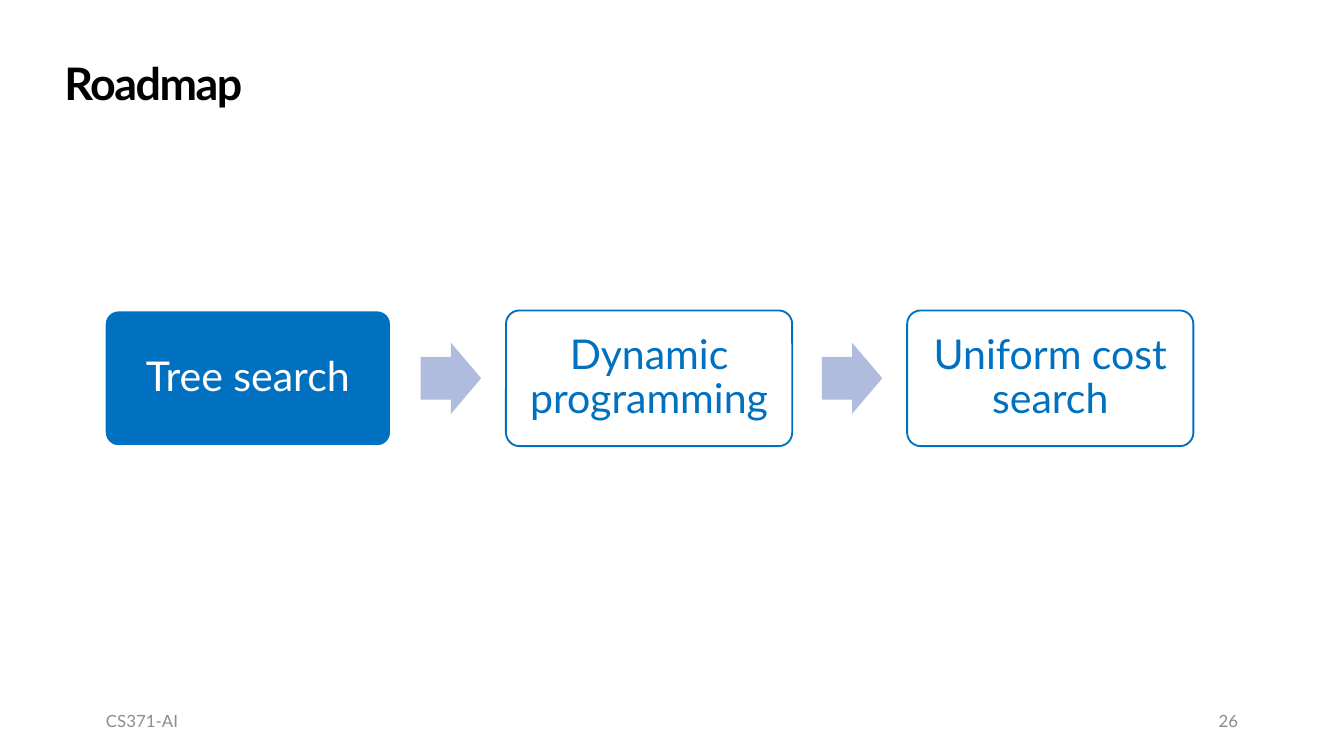
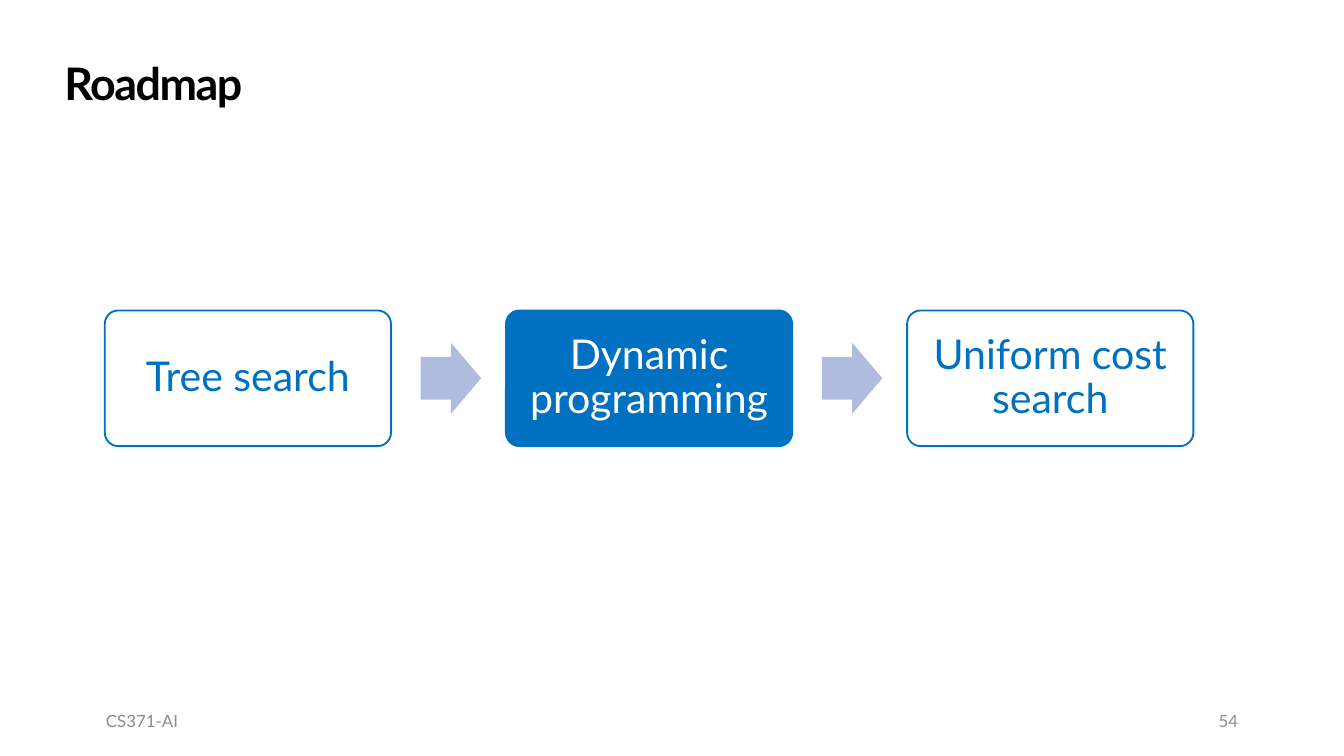
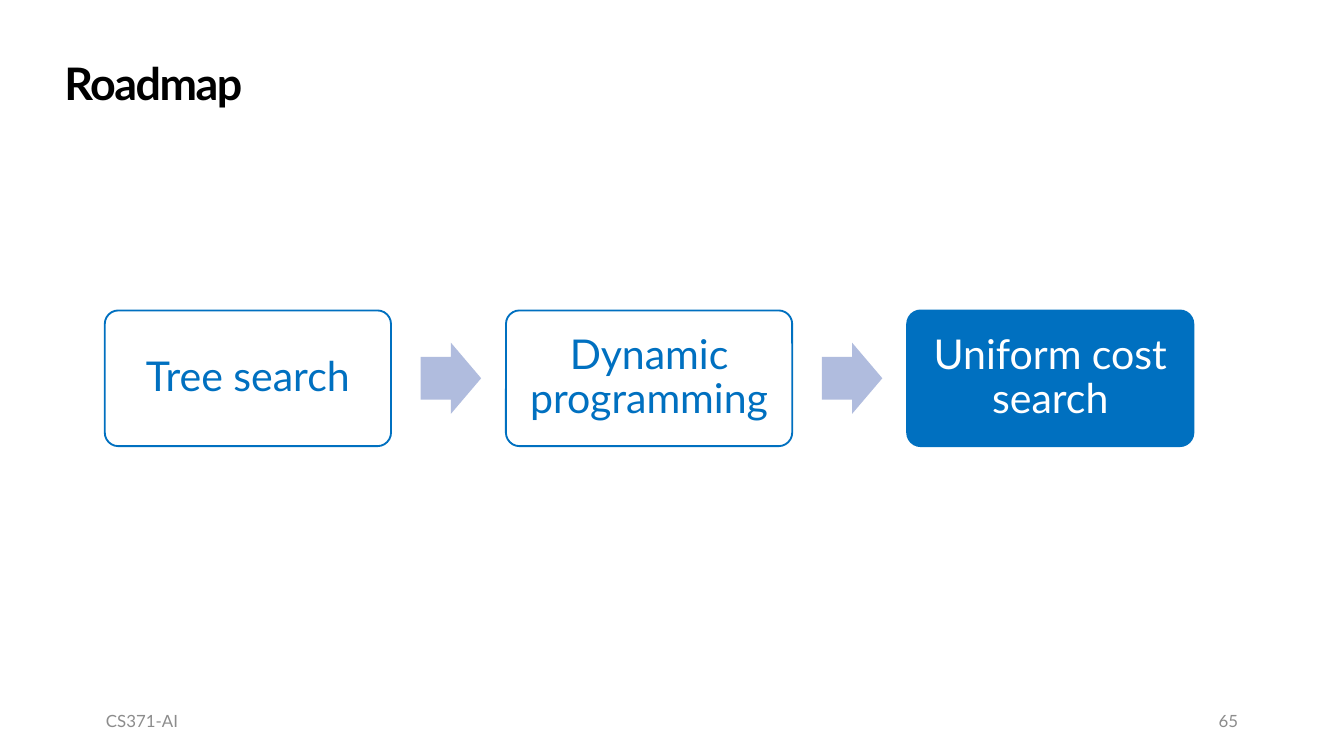
"""Build three roadmap slides, each highlighting one stage of the search lectures."""
from dataclasses import dataclass

from pptx import Presentation
from pptx.dml.color import RGBColor
from pptx.enum.shapes import MSO_SHAPE
from pptx.enum.text import MSO_ANCHOR, PP_ALIGN
from pptx.util import Inches, Pt

LEFT, CENTER, RIGHT = PP_ALIGN.LEFT, PP_ALIGN.CENTER, PP_ALIGN.RIGHT
TOP, MIDDLE = MSO_ANCHOR.TOP, MSO_ANCHOR.MIDDLE
ROUNDED, ARROW = MSO_SHAPE.ROUNDED_RECTANGLE, MSO_SHAPE.RIGHT_ARROW


@dataclass(frozen=True)
class Theme:
    font: str = "Lato"
    black: RGBColor = RGBColor(0x00, 0x00, 0x00)
    white: RGBColor = RGBColor(0xFF, 0xFF, 0xFF)
    blue: RGBColor = RGBColor(0x00, 0x70, 0xC0)
    arrow: RGBColor = RGBColor(0xB0, 0xBC, 0xDE)
    grey: RGBColor = RGBColor(0x8C, 0x8C, 0x8C)
    title_size: int = 24
    stage_size: int = 22
    footer_size: int = 9


THEME = Theme()
STAGES = ["Tree search", "Dynamic programming", "Uniform cost search"]
ROADMAPS = [
    (26, "Tree search", THEME.white),
    (54, "Dynamic programming", THEME.blue),
    (65, "Uniform cost search", THEME.blue),
]
FIRST_LEFT, LAST_LEFT = 0.78, 6.75
STAGE_TOP, STAGE_WIDTH, STAGE_HEIGHT = 2.31, 2.13, 1.01
STAGE_PITCH = (LAST_LEFT - FIRST_LEFT) / (len(STAGES) - 1)
ARROW_OFFSET, ARROW_WIDTH, ARROW_HEIGHT = 2.35, 0.45, 0.53
STAGE_INSET = Inches(0.09)


def write(box, text, size, color, align=LEFT, anchor=MIDDLE, spacing=1.0):
    frame = box.text_frame
    frame.text = text
    frame.word_wrap = True
    frame.vertical_anchor = anchor
    para = frame.paragraphs[0]
    para.alignment = align
    para.line_spacing = spacing
    span = para.runs[0]
    span.font.name = THEME.font
    span.font.size = Pt(size)
    span.font.color.rgb = color
    return span


def add_plain_shape(page, kind, left, top, width, height, adjustments):
    shape = page.shapes.add_shape(kind, Inches(left), Inches(top), Inches(width), Inches(height))
    shape.shadow.inherit = False
    for index, value in enumerate(adjustments):
        shape.adjustments[index] = value
    return shape


deck = Presentation()
deck.slide_width = Inches(10)
deck.slide_height = deck.slide_width * 9 // 16
blank = deck.slide_layouts[6]

for number, current, current_line in ROADMAPS:
    page = deck.slides.add_slide(blank)

    for left, text, align in [(0.69, "CS371-AI", LEFT), (7.06, str(number), RIGHT)]:
        footer = page.shapes.add_textbox(Inches(left), Inches(5.21), Inches(2.25), Inches(0.3))
        write(footer, text, THEME.footer_size, THEME.grey, align)

    title = page.shapes.add_textbox(Inches(0.38), Inches(0.41), Inches(8.62), Inches(0.67))
    span = write(title, "Roadmap", THEME.title_size, THEME.black, anchor=TOP, spacing=0.9)
    span.font.bold = True
    span.font._element.set("spc", "-80")

    for position, stage in enumerate(STAGES):
        left = FIRST_LEFT + position * STAGE_PITCH
        is_current = stage == current

        box = add_plain_shape(page, ROUNDED, left, STAGE_TOP, STAGE_WIDTH, STAGE_HEIGHT, [0.1])
        if is_current:
            box.fill.solid()
            box.fill.fore_color.rgb = THEME.blue
        else:
            box.fill.background()
        box.line.color.rgb = current_line if is_current else THEME.blue
        box.line.width = Pt(1)
        frame = box.text_frame
        frame.margin_left = frame.margin_right = STAGE_INSET
        frame.margin_top = frame.margin_bottom = STAGE_INSET
        color = THEME.white if is_current else THEME.blue
        write(box, stage, THEME.stage_size, color, CENTER, spacing=0.9)

        if position < len(STAGES) - 1:
            arrow_top = STAGE_TOP + (STAGE_HEIGHT - ARROW_HEIGHT) / 2
            arrow = add_plain_shape(page, ARROW, left + ARROW_OFFSET, arrow_top,
                                    ARROW_WIDTH, ARROW_HEIGHT, [0.6, 0.5])
            arrow.fill.solid()
            arrow.fill.fore_color.rgb = THEME.arrow
            arrow.line.fill.background()

deck.save("out.pptx")
